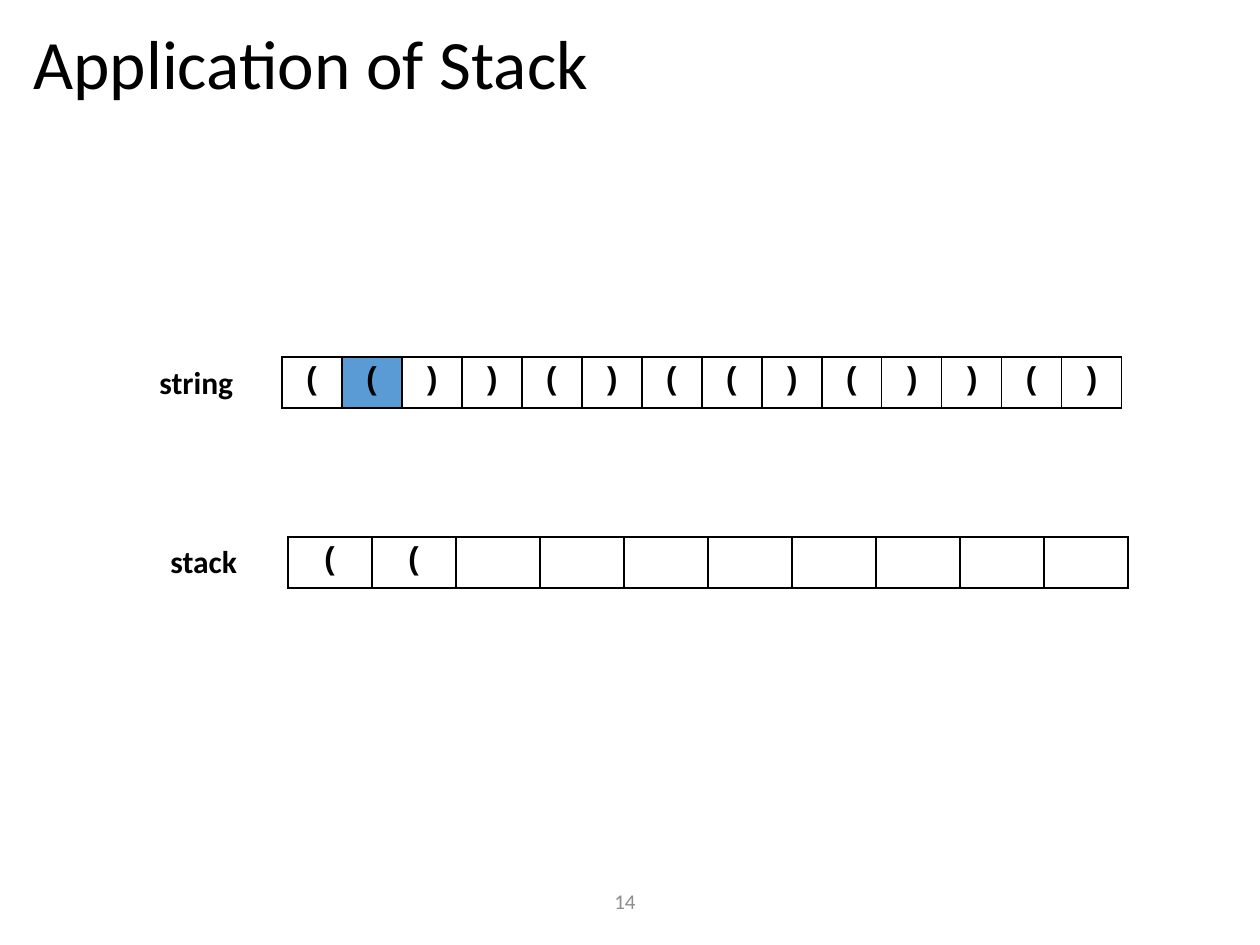
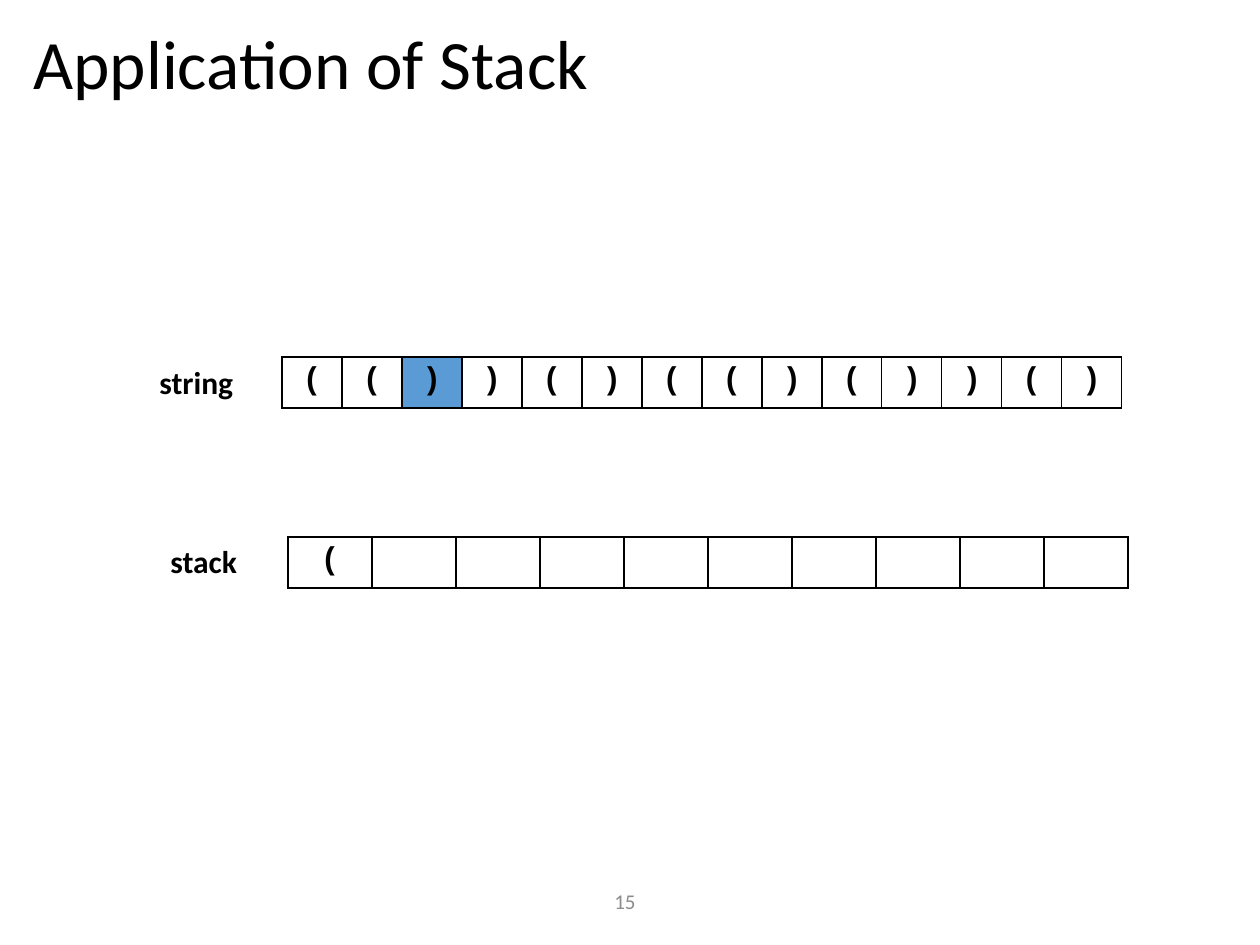
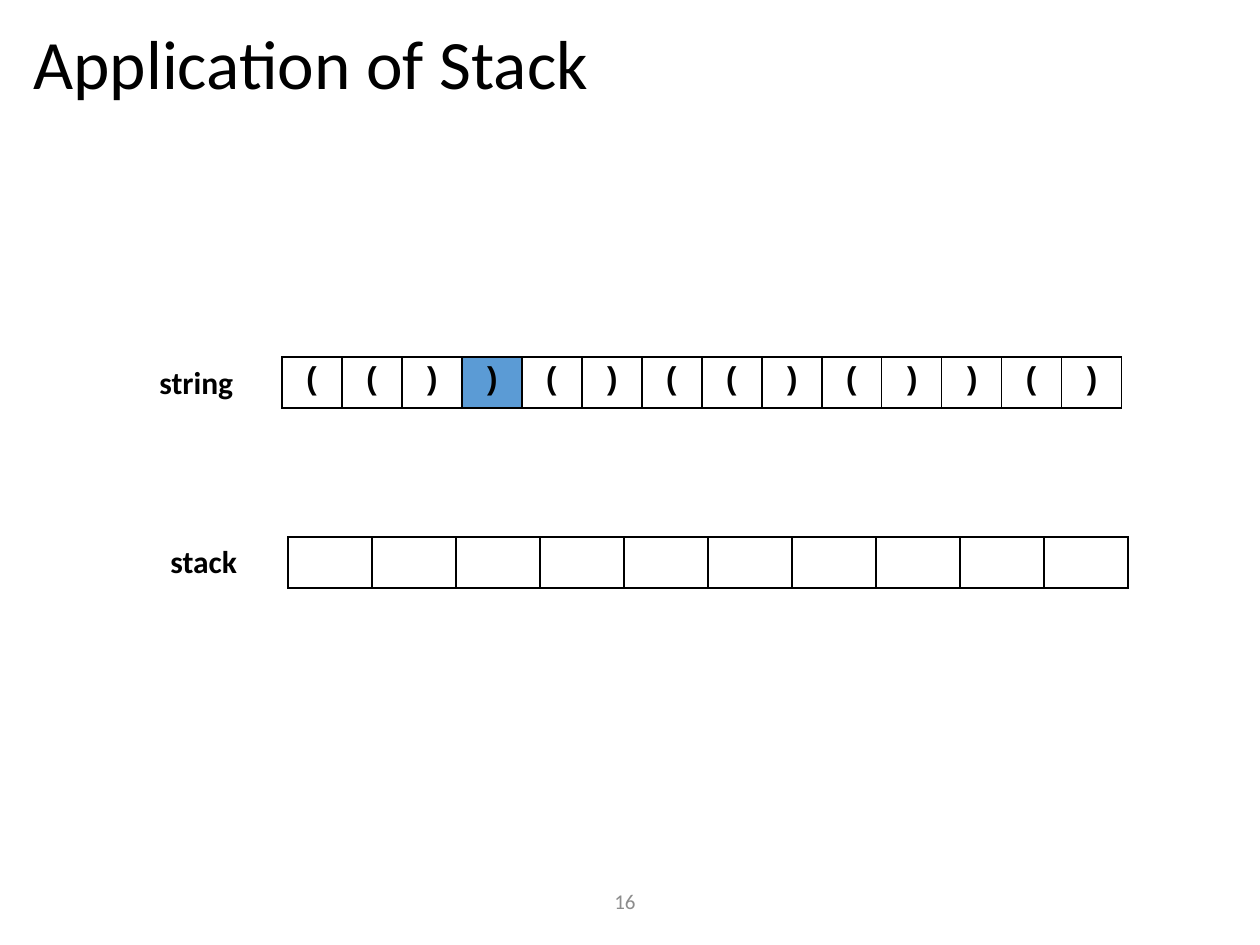
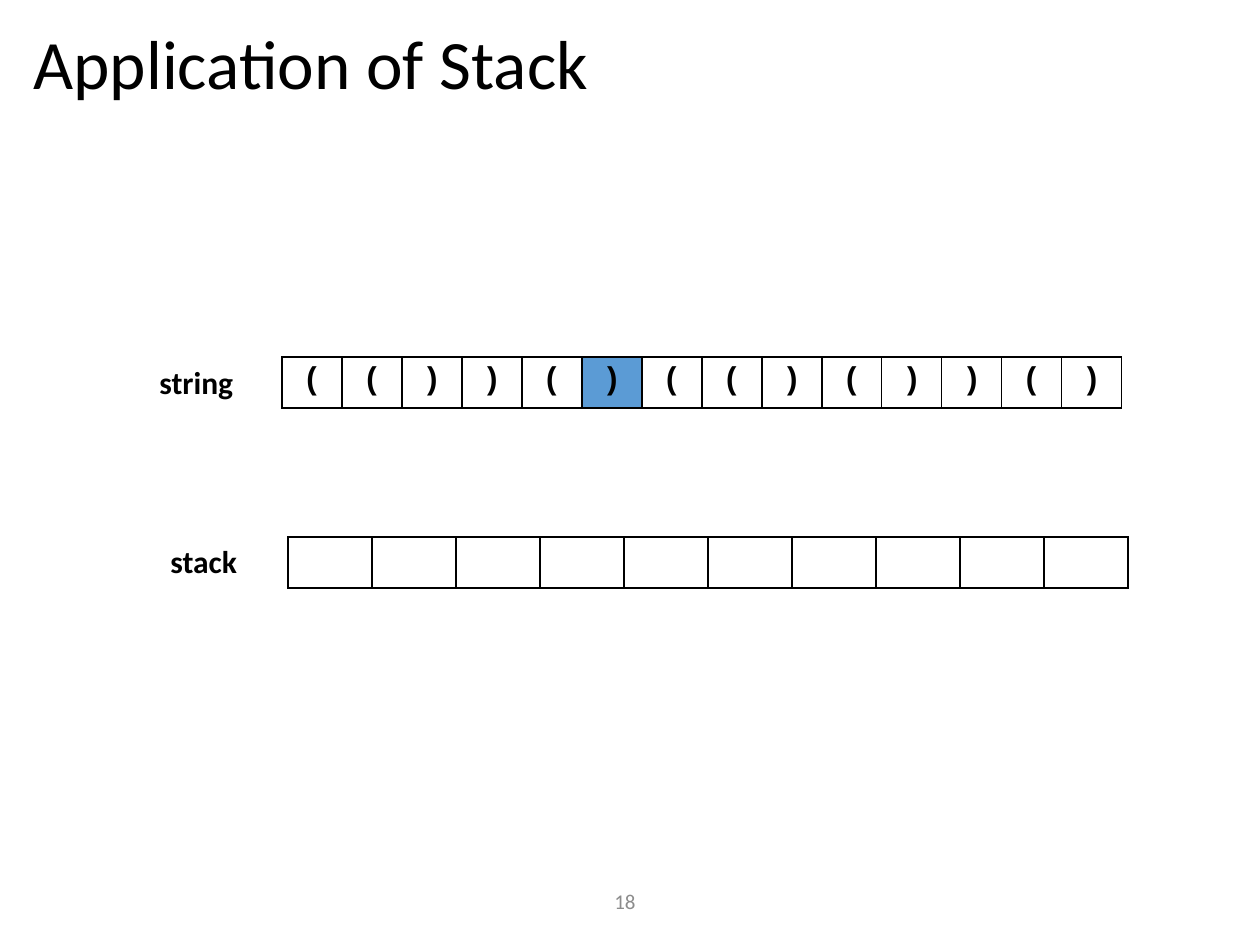
from lxml import etree
from pptx import Presentation
from pptx import util as u
from pptx.dml.color import RGBColor
from pptx.enum import text
from pptx.oxml import ns

PX = u.Inches(10) / 1260  # 126 px to the inch
COLORS = {"ink": "000000", "number": "8C8C8C", "current": "5B9BD5"}
BODY, CODE = "Calibri", "Courier New"

BRACKETS = "(())()(()())()"
STACK_SIZE = 10
CURRENT_POSITIONS = [1, 2, 3, 5]
FIRST_NUMBER = 13  # number of the slide that reads position 0
CELL_HEIGHT = 51


def add_text(slide, box, words, size, color="ink", bold=False):
    label = slide.shapes.add_textbox(*(round(n * PX) for n in box))
    frame = label.text_frame
    frame.word_wrap = True
    paragraph = frame.paragraphs[0]
    run = paragraph.add_run()
    run.text = words
    run.font.name, run.font.size, run.font.bold = BODY, u.Pt(size), bold
    run.font.color.rgb = RGBColor.from_string(COLORS[color])
    return frame, paragraph


def add_row(slide, left, top, cell_width, symbols, current=None):
    count = len(symbols)
    box = (left, top, cell_width * count, CELL_HEIGHT)
    table = slide.shapes.add_table(1, count, *(round(n * PX) for n in box)).table
    table.first_row = table.horz_banding = False
    for position, symbol in enumerate(symbols):
        table.columns[position].width = round(cell_width * PX)
        cell = table.cell(0, position)

        # Borders come before the fill in the cell properties
        properties = cell._tc.get_or_add_tcPr()
        for side in ("lnL", "lnR", "lnT", "lnB"):
            line = etree.SubElement(properties, ns.qn(f"a:{side}"), w=str(u.Pt(1)))
            solid = etree.SubElement(line, ns.qn("a:solidFill"))
            etree.SubElement(solid, ns.qn("a:srgbClr"), val=COLORS["ink"])
        if position == current:
            cell.fill.solid()
            cell.fill.fore_color.rgb = RGBColor.from_string(COLORS["current"])
        else:
            cell.fill.background()

        if symbol:
            paragraph = cell.text_frame.paragraphs[0]
            paragraph.alignment = text.PP_ALIGN.CENTER
            run = paragraph.add_run()
            run.text = symbol
            run.font.name, run.font.size, run.font.bold = CODE, u.Pt(18), True
            run.font.color.rgb = RGBColor.from_string(COLORS["ink"])


deck = Presentation()
deck.slide_width, deck.slide_height = u.Inches(10), u.Inches(7.5)

for current in CURRENT_POSITIONS:
    slide = deck.slides.add_slide(deck.slide_layouts[6])

    # Slide number
    frame, paragraph = add_text(
        slide, (330, 876, 590, 50), str(FIRST_NUMBER + current), 12, "number")
    frame.vertical_anchor = text.MSO_ANCHOR.MIDDLE
    paragraph.alignment = text.PP_ALIGN.CENTER

    # Title
    frame, paragraph = add_text(
        slide, (21, 23, 1212, 93), "Application of Stack", 39.6)
    paragraph.line_spacing = 0.9

    # Stack after reading the current bracket: push "(", pop on ")"
    stack = []
    for bracket in BRACKETS[:current + 1]:
        if bracket == "(":
            stack.append(bracket)
        else:
            stack.pop()
    free_cells = [""] * (STACK_SIZE - len(stack))
    add_row(slide, 288, 537, 84, stack + free_cells)
    frame, paragraph = add_text(slide, (158, 536, 112, 50), "stack", 18, bold=True)
    frame.auto_size = text.MSO_AUTO_SIZE.SHAPE_TO_FIT_TEXT

    # String with the current bracket marked
    add_row(slide, 282, 357, 60, BRACKETS, current)
    frame, paragraph = add_text(slide, (147, 357, 117, 50), "string", 18, bold=True)
    frame.auto_size = text.MSO_AUTO_SIZE.SHAPE_TO_FIT_TEXT

deck.save("out.pptx")
